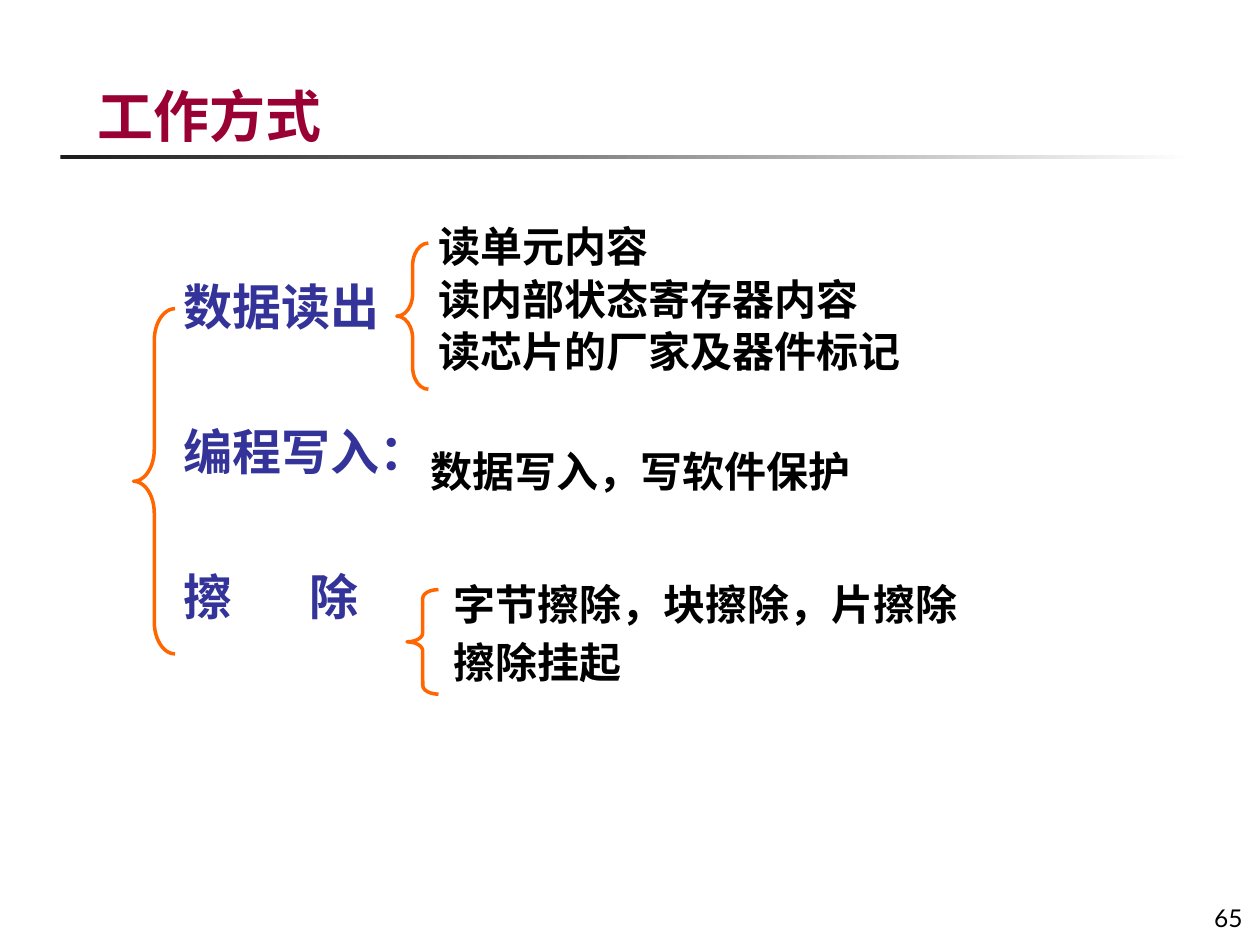
from dataclasses import dataclass

from lxml.etree import SubElement
from pptx import Presentation
from pptx.dml.color import RGBColor
from pptx.enum.shapes import MSO_SHAPE as Preset
from pptx.enum.text import MSO_ANCHOR as Anchor, PP_ALIGN as Align
from pptx.oxml.ns import qn
from pptx.util import Inches, Pt

CRIMSON = RGBColor(0x99, 0x00, 0x33)
INDIGO = RGBColor(0x33, 0x33, 0x99)
ORANGE = RGBColor(0xFF, 0x66, 0x00)
BLACK = RGBColor(0x00, 0x00, 0x00)
CHARCOAL = RGBColor(0x1C, 0x1C, 0x1C)
WHITE = RGBColor(0xFF, 0xFF, 0xFF)
CJK_FONT = "Noto Sans CJK SC"
LATIN_FONT = "Lato"


@dataclass(frozen=True)
class Box:
    left: float
    top: float
    width: float
    height: float

    def lengths(self) -> tuple:
        return tuple(map(Inches, (self.left, self.top, self.width, self.height)))


@dataclass(frozen=True)
class Brace:
    box: Box
    curl: float


@dataclass(frozen=True)
class Details:
    box: Box
    lines: tuple[str, ...]
    line_spacing: float = 1.0


def write_text(shape, lines, *, size=24, color=BLACK, font=CJK_FONT, bold=True,
               align=Align.LEFT, anchor=Anchor.TOP, line_spacing=1.0,
               gap=7.0, tab=None) -> None:
    """Fill a shape with paragraphs; gap is the space between them in points."""
    frame = shape.text_frame
    frame.word_wrap = True
    frame.vertical_anchor = anchor
    for index, line in enumerate(lines):
        paragraph = frame.add_paragraph() if index else frame.paragraphs[0]
        paragraph.alignment = align
        paragraph.line_spacing = line_spacing
        paragraph.space_before = Pt(gap if index else 0)
        run = paragraph.add_run()
        run.text = line
        run.font.size = Pt(size)
        run.font.bold = bold
        run.font.name = font
        run.font.color.rgb = color
        east_asian = SubElement(run._r.get_or_add_rPr(), qn("a:ea"))
        east_asian.set("typeface", font)
        if tab is not None:
            tabs = SubElement(paragraph._p.get_or_add_pPr(), qn("a:tabLst"))
            SubElement(tabs, qn("a:tab"), pos=str(Inches(tab)), algn="l")


def add_text(slide, box: Box, lines, **text_format) -> None:
    write_text(slide.shapes.add_textbox(*box.lengths()), lines, **text_format)


def add_brace(slide, brace: Brace) -> None:
    shape = slide.shapes.add_shape(Preset.LEFT_BRACE, *brace.box.lengths())
    shape.shadow.inherit = False
    shape.fill.background()
    shape.line.color.rgb = ORANGE
    shape.line.width = Pt(2)
    shape.adjustments[0] = brace.curl
    shape.adjustments[1] = 0.5


def add_title_rule(slide, box: Box) -> None:
    rule = slide.shapes.add_shape(Preset.RECTANGLE, *box.lengths())
    rule.shadow.inherit = False
    rule.line.fill.background()
    rule.fill.gradient()
    rule.fill.gradient_angle = 0
    for stop, color in zip(rule.fill.gradient_stops, (CHARCOAL, WHITE)):
        stop.color.rgb = color


DETAILS = (
    Details(Box(3.38, 1.78, 4.9, 1.47),
            ("读单元内容", "读内部状态寄存器内容", "读芯片的厂家及器件标记"), 0.8),
    Details(Box(3.32, 3.49, 4.67, 0.5), ("数据写入，写软件保护",)),
    Details(Box(3.5, 4.59, 5.17, 1.03),
            ("字节擦除，块擦除，片擦除", "擦除挂起"), 0.9),
)
BRACES = (
    Brace(Box(3.15, 1.93, 0.25, 1.16), 0.71),
    Brace(Box(3.23, 4.68, 0.25, 0.83), 0.28),
    Brace(Box(1.06, 2.45, 0.33, 2.74), 0.77),
)


def main() -> None:
    deck = Presentation()
    deck.slide_width, deck.slide_height = Inches(10), Inches(7.5)
    slide = deck.slides.add_slide(deck.slide_layouts[5])

    # Title with its fading rule
    add_title_rule(slide, Box(0.48, 1.23, 9, 0.03))
    title = slide.shapes.title
    title.left, title.top, title.width, title.height = Box(0.67, 0.23, 7.99, 1).lengths()
    write_text(title, ["工作方式"], size=32, color=CRIMSON, anchor=Anchor.BOTTOM)

    # Operating modes, spread evenly down the main brace
    add_text(slide, Box(1.36, 2.2, 2.5, 3.16), ["数据读出", "编程写入：", "擦\t除"],
             size=28, color=INDIGO, line_spacing=0.9, gap=52.4, tab=1.0)

    # Details of each mode
    for details in DETAILS:
        add_text(slide, details.box, details.lines, line_spacing=details.line_spacing)

    # Braces
    for brace in BRACES:
        add_brace(slide, brace)

    # Slide number
    add_text(slide, Box(9.27, 6.95, 0.69, 0.5), ["65"], size=14, font=LATIN_FONT,
             bold=False, align=Align.RIGHT, anchor=Anchor.BOTTOM)

    deck.save("out.pptx")


if __name__ == "__main__":
    main()
